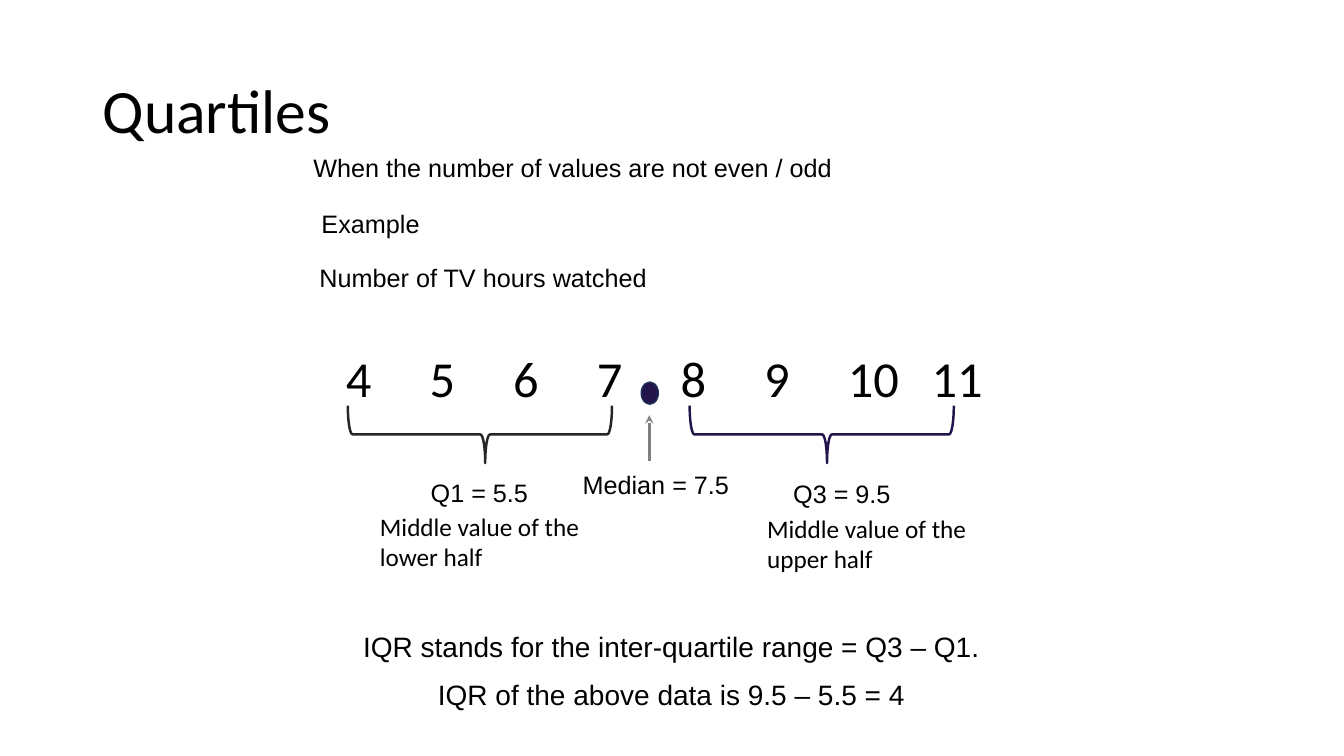
from lxml import etree
from pptx import Presentation
from pptx import util as u
from pptx.dml.color import RGBColor
from pptx.enum import shapes, text
from pptx.oxml.ns import qn

BLACK, GREY, CHARCOAL, NAVY, EDGE = "000000", "808080", "262626", "23144C", "1E3256"
LEFT, CENTER = text.PP_ALIGN.LEFT, text.PP_ALIGN.CENTER

HOURS = [4, 5, 6, 7, 8, 9, 10, 11]
COLUMN, TABLE_LEFT, TABLE_TOP, ROW = 0.83, 3.33, 3.42, 0.7
HALVES = [(4.76, CHARCOAL), (8.15, NAVY)]  # centre and colour of each brace
BRACE_SPAN, BRACE_DEPTH, BRACE_MIDDLE = 2.62, 0.57, 4.31
MEDIAN_X = 6.44

# left, top, width, height, font, size, alignment, lines
TEXTS = [
    (0.92, 0.4, 11.5, 1.45, "Calibri", 44, LEFT, ["Quartiles"]),
    (3.01, 1.46, 6.18, 0.4, "Arial", 18, LEFT, ["When the number of values are not even / odd"]),
    (3.09, 2.02, 2.82, 0.4, "Arial", 18, LEFT, ["Example"]),
    (3.07, 2.55, 7.19, 0.4, "Arial", 18, LEFT, ["Number of TV hours watched"]),
    (3.09, 4.69, 3.33, 0.4, "Arial", 18, CENTER, ["Q1 = 5.5"]),
    (5.23, 4.61, 2.55, 0.4, "Arial", 18, CENTER, ["Median = 7.5"]),
    (7.04, 4.7, 2.62, 0.4, "Arial", 18, CENTER, ["Q3 = 9.5"]),
    (3.67, 5.02, 2.55, 0.71, "Calibri", 18, LEFT, ["Middle value of the lower half"]),
    (7.51, 5.04, 2.55, 0.71, "Calibri", 18, LEFT, ["Middle value of the upper half"]),
    (2.47, 6.2, 8.38, 0.94, "Arial", 20, CENTER,
     ["IQR stands for the inter-quartile range = Q3 – Q1.",
      "IQR of the above data is 9.5 – 5.5 = 4"]),
]


def color(value):
    return RGBColor.from_string(value)


def inches(*lengths):
    return [u.Inches(length) for length in lengths]


def style(para, font, size):
    for span in para.runs:
        span.font.name, span.font.size = font, u.Pt(size)
        span.font.color.rgb = color(BLACK)


def outline(shape, value, width):
    shape.line.color.rgb = color(value)
    shape.line.width = u.Pt(width)


def add_text(page, left, top, width, height, font, size, align, lines):
    box = page.shapes.add_textbox(*inches(left, top, width, height))
    frame = box.text_frame
    frame.word_wrap = True
    frame.vertical_anchor = text.MSO_ANCHOR.MIDDLE if size == 44 else text.MSO_ANCHOR.TOP
    frame.text = "\n".join(lines)
    for index, para in enumerate(frame.paragraphs):
        para.alignment = align
        if index:
            para.space_before = u.Pt(size / 2)
        if size == 44:
            para.line_spacing = 0.9
        style(para, font, size)


def add_hours(page):
    grid = page.shapes.add_table(
        1, len(HOURS), *inches(TABLE_LEFT, TABLE_TOP, COLUMN * len(HOURS), ROW)).table
    grid.first_row = grid.horz_banding = False
    for column, cell, hours in zip(grid.columns, grid.rows[0].cells, HOURS):
        column.width = u.Inches(COLUMN)
        cell.fill.background()
        cell.text = str(hours)
        style(cell.text_frame.paragraphs[0], "Calibri", 36)


def add_brace(page, center, value):
    """Draw a brace that opens upwards and points down at its quartile."""
    brace = page.shapes.add_shape(
        shapes.MSO_SHAPE.LEFT_BRACE,
        *inches(center - BRACE_DEPTH / 2, BRACE_MIDDLE - BRACE_SPAN / 2, BRACE_DEPTH, BRACE_SPAN))
    brace.adjustments[0], brace.adjustments[1] = 0.083, 0.48
    brace.rotation = 90
    brace._element.spPr.find(qn("a:xfrm")).set("flipH", "1")
    brace.shadow.inherit = False
    brace.fill.background()
    outline(brace, value, 1.75)


def add_median(page):
    dot = page.shapes.add_shape(shapes.MSO_SHAPE.OVAL, *inches(MEDIAN_X - 0.08, 3.79, 0.17, 0.22))
    dot.shadow.inherit = False
    dot.fill.solid()
    dot.fill.fore_color.rgb = color(NAVY)
    outline(dot, EDGE, 1)

    arrow = page.shapes.add_connector(
        shapes.MSO_CONNECTOR.STRAIGHT, *inches(MEDIAN_X, 4.57, MEDIAN_X, 4.12))
    outline(arrow, GREY, 2)
    etree.SubElement(arrow.line._get_or_add_ln(), qn("a:tailEnd"), type="stealth")
    etree.SubElement(arrow._element.spPr, qn("a:effectLst"))


def main():
    deck = Presentation()
    deck.slide_width, deck.slide_height = inches(13.33, 7.5)
    page = deck.slides.add_slide(deck.slide_layouts[6])
    for entry in TEXTS:
        add_text(page, *entry)
    add_hours(page)
    for center, value in HALVES:
        add_brace(page, center, value)
    add_median(page)
    deck.save("out.pptx")


if __name__ == "__main__":
    main()
